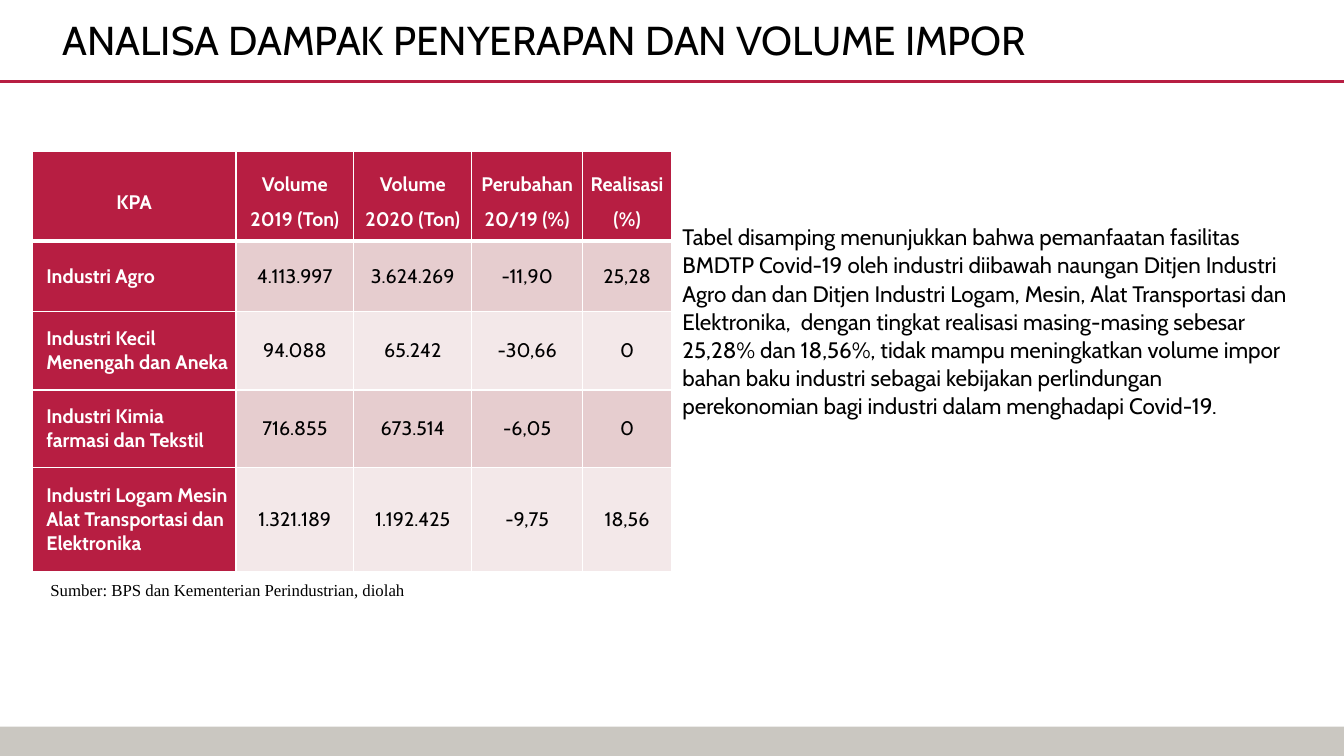
from dataclasses import dataclass
from lxml.etree import SubElement
from pptx import Presentation
from pptx.dml.color import RGBColor
from pptx.enum.shapes import MSO_CONNECTOR, MSO_SHAPE
from pptx.enum.text import MSO_ANCHOR, PP_ALIGN
from pptx.oxml import parse_xml
from pptx.oxml.ns import nsdecls, qn
from pptx.util import Inches, Pt


@dataclass(frozen=True)
class Theme:
    red: str = "B71E42"
    rose: str = "E6CDCF"
    pale: str = "F3E8E9"
    gray: str = "CAC7C1"
    white: str = "FFFFFF"
    black: str = "000000"
    font: str = "Cabin"
    serif: str = "Times New Roman"
    head: float = 28.8
    body: float = 16
    cell: float = 14
    note: float = 12


theme = Theme()


def write(frame, text, size, color=theme.black, font=theme.font,
          bold=False, align=PP_ALIGN.LEFT, space=1.0):
    frame.text = text
    frame.word_wrap = True
    frame.vertical_anchor = MSO_ANCHOR.MIDDLE
    para = frame.paragraphs[0]
    para.alignment = align
    para.line_spacing = space
    style = para.runs[0].font
    style.name = font
    style.size = Pt(size)
    style.bold = bold
    style.color.rgb = RGBColor.from_string(color)


def border(cell, top, bottom):
    props = cell.fill._xPr
    for spot, (side, width) in enumerate(
            [("L", 1), ("R", 1), ("T", top), ("B", bottom)]):
        props.insert(spot, parse_xml(
            f'<a:ln{side} {nsdecls("a")} w="{Pt(width)}"><a:solidFill>'
            f'<a:srgbClr val="{theme.white}"/></a:solidFill></a:ln{side}>'))


deck = Presentation()
deck.slide_width = Inches(13.33)
deck.slide_height = Inches(7.5)
slide = deck.slides.add_slide(deck.slide_layouts[5])
shapes = slide.shapes
slide.background.fill.solid()
slide.background.fill.fore_color.rgb = RGBColor.from_string(theme.gray)

title = shapes.title
title.left, title.top = Inches(0.52), Inches(0.15)
title.width, title.height = Inches(11), Inches(0.55)
write(title.text_frame, "ANALISA DAMPAK PENYERAPAN DAN VOLUME IMPOR", theme.head, space=0.9)

panel = shapes.add_shape(MSO_SHAPE.RECTANGLE, 0, 0, deck.slide_width, Inches(7.21))
panel.shadow.inherit = False
panel.fill.solid()
panel.fill.fore_color.rgb = RGBColor.from_string(theme.white)
panel.line.fill.background()
title.element.addprevious(panel.element)

rule = shapes.add_connector(
    MSO_CONNECTOR.STRAIGHT, 0, Inches(0.81), deck.slide_width, Inches(0.81))
rule.line.color.rgb = RGBColor.from_string(theme.red)
rule.line.width = Pt(2.5)
SubElement(rule.element.spPr, qn("a:effectLst"))
title.element.addprevious(rule.element)

body = shapes.add_textbox(Inches(6.67), Inches(2.24), Inches(6.35), Inches(1.88))
write(body.text_frame,
      "Tabel disamping menunjukkan bahwa pemanfaatan fasilitas BMDTP Covid-19 oleh "
      "industri diibawah naungan Ditjen Industri Agro dan dan Ditjen Industri Logam, "
      "Mesin, Alat Transportasi dan Elektronika,  dengan tingkat realisasi "
      "masing-masing sebesar 25,28% dan 18,56%, tidak mampu meningkatkan volume impor "
      "bahan baku industri sebagai kebijakan perlindungan perekonomian bagi industri "
      "dalam menghadapi Covid-19.", theme.body, space=1.05)

data = [
    ["KPA", "Volume 2019 (Ton)", "Volume 2020 (Ton)", "Perubahan 20/19 (%)", "Realisasi (%)"],
    ["Industri Agro", "4.113.997", "3.624.269", "-11,90", "25,28"],
    ["Industri Kecil Menengah dan Aneka", "94.088", "65.242", "-30,66", "0"],
    ["Industri Kimia farmasi dan Tekstil", "716.855", "673.514", "-6,05", "0"],
    ["Industri Logam Mesin Alat Transportasi dan Elektronika",
     "1.321.189", "1.192.425", "-9,75", "18,56"],
]
widths = [2.02, 1.17, 1.17, 1.1, 0.88]
heights = [0.89, 0.7, 0.78, 0.77, 1.03]
table = shapes.add_table(len(heights), len(widths), Inches(0.32), Inches(1.5),
                         Inches(sum(widths)), Inches(sum(heights))).table
for col, width in zip(table.columns, widths):
    col.width = Inches(width)
for row, height in zip(table.rows, heights):
    row.height = Inches(height)

for r, line in enumerate(data):
    for c, text in enumerate(line):
        cell = table.cell(r, c)
        label = r > 0 and c == 0
        strong = r == 0 or c == 0
        band = theme.rose if r % 2 else theme.pale
        cell.fill.solid()
        cell.fill.fore_color.rgb = RGBColor.from_string(theme.red if strong else band)
        cell.margin_left = Inches(0.14 if label else 0.05)
        cell.margin_right = Inches(0.05)
        cell.margin_top = cell.margin_bottom = 0
        write(cell.text_frame, text, theme.cell,
              color=theme.white if strong else theme.black, bold=strong,
              align=PP_ALIGN.LEFT if label else PP_ALIGN.CENTER,
              space=1.0 if r else 1.5)
        cell.vertical_anchor = MSO_ANCHOR.MIDDLE
        border(cell, 3 if r == 1 else 1, 1 if r else 3)

note = shapes.add_textbox(Inches(-0.29), Inches(5.7), Inches(6.64), Inches(0.3))
note.text_frame.margin_left = Inches(0.79)
write(note.text_frame, "Sumber: BPS dan Kementerian Perindustrian, diolah",
      theme.note, font=theme.serif, align=PP_ALIGN.JUSTIFY)

deck.save("out.pptx")
